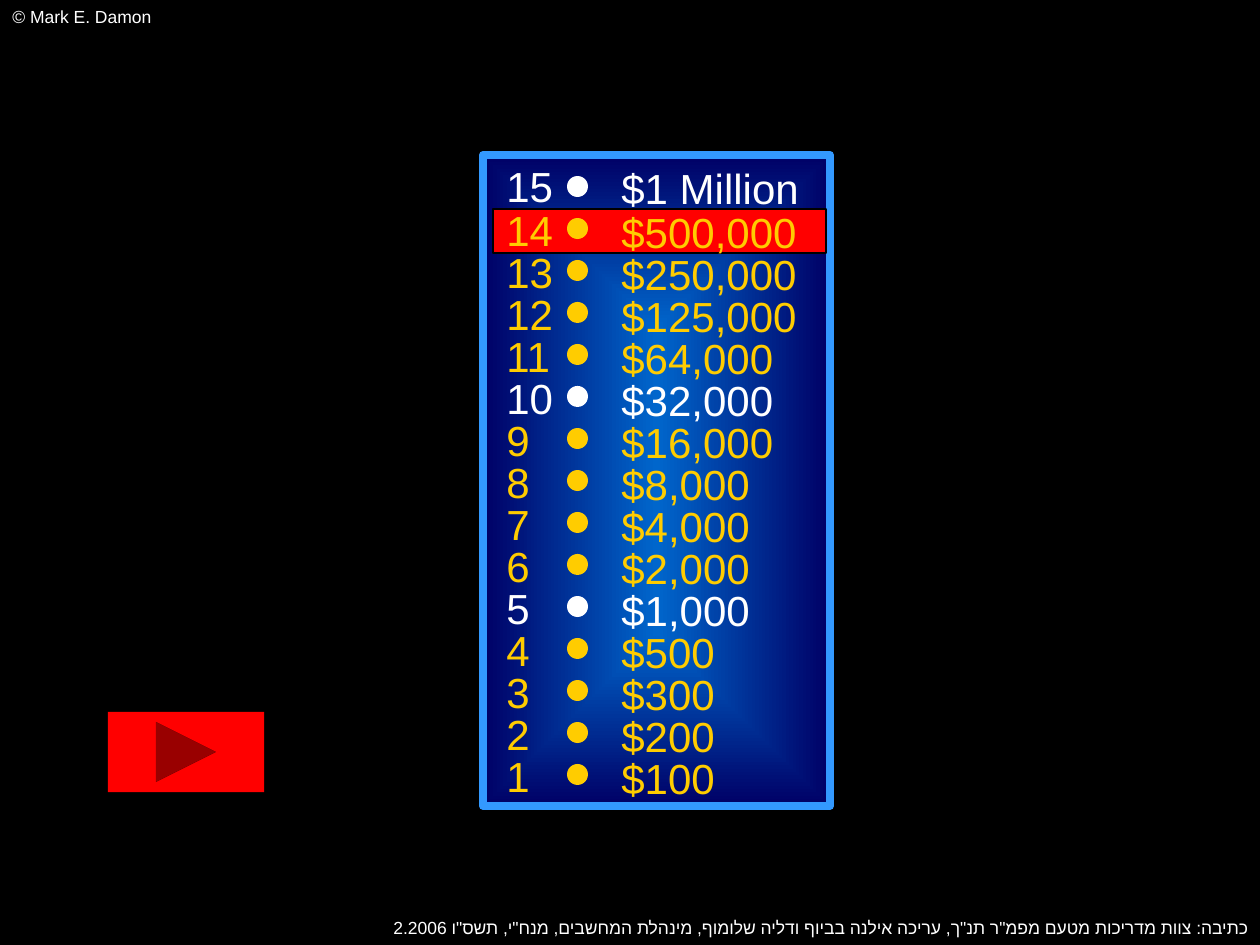
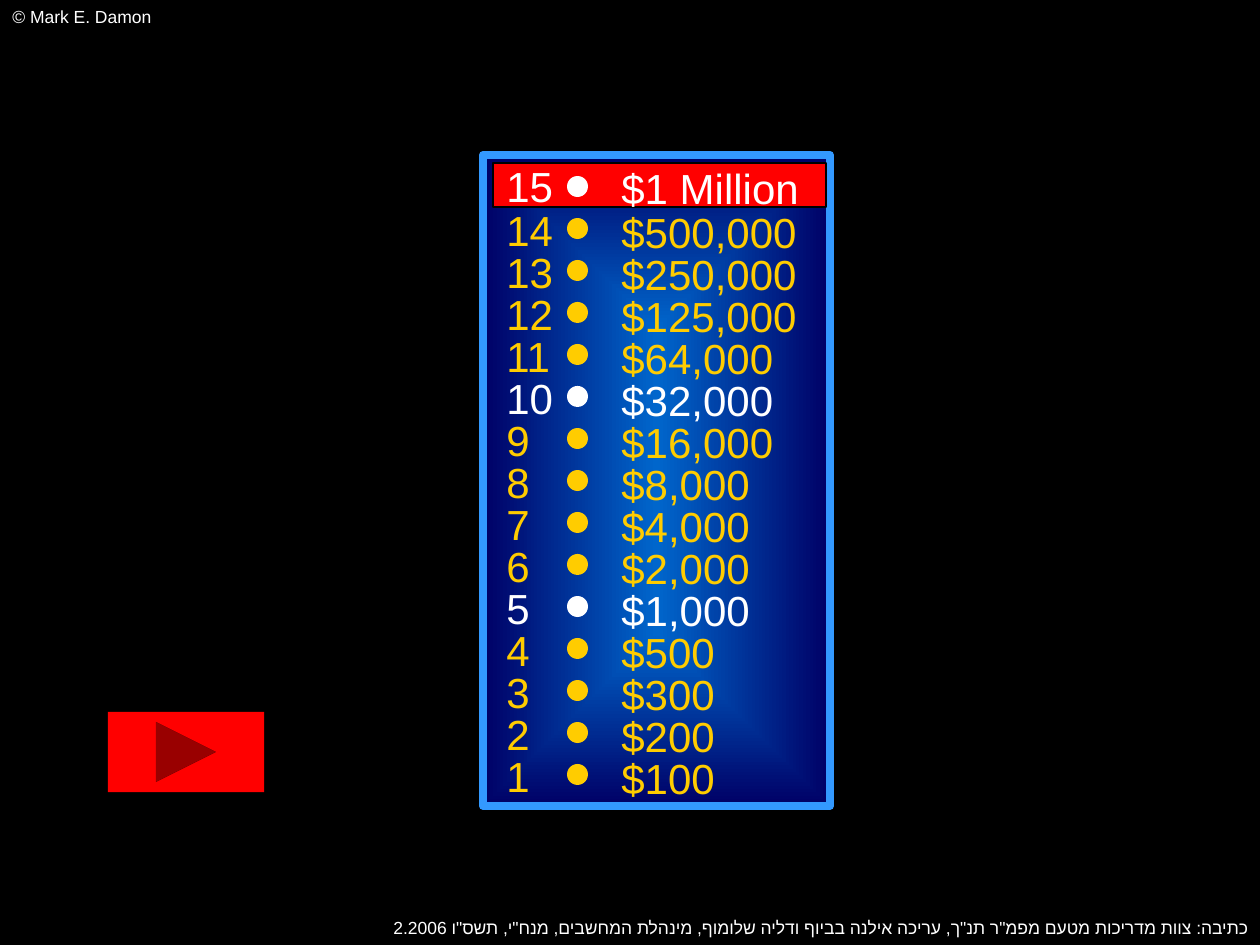
"""Build two money-ladder slides, each with its own level marked."""
from dataclasses import dataclass

from lxml import etree
from pptx import Presentation
from pptx.dml.color import RGBColor
from pptx.enum.shapes import MSO_SHAPE
from pptx.enum.text import MSO_AUTO_SIZE, PP_ALIGN
from pptx.oxml import parse_xml
from pptx.oxml.ns import nsdecls, qn
from pptx.util import Emu, Pt

RECT = MSO_SHAPE.RECTANGLE
OVAL = MSO_SHAPE.OVAL
NEXT = MSO_SHAPE.ACTION_BUTTON_FORWARD_OR_NEXT
LEFT, RIGHT = PP_ALIGN.LEFT, PP_ALIGN.RIGHT
GROW = MSO_AUTO_SIZE.SHAPE_TO_FIT_TEXT

SCALE = 914400 / 126
STEP = 42
COLORS = {
    "black": "000000",
    "white": "FFFFFF",
    "gold": "FFCC00",
    "red": "FF0000",
    "glow": "0066CC",
    "navy": "000066",
    "frame": "3399FF",
}
CREDIT = "© Mark E. Damon"
AUTHORS = ('כתיבה: צוות מדריכות מטעם מפמ"ר תנ"ך, עריכה אילנה בביוף ודליה שלומוף, '
           'מינהלת המחשבים, מנח"י, תשס"ו 2.2006')


@dataclass(frozen=True)
class Box:
    x: int
    y: int
    w: int
    h: int

    def emu(self) -> list[Emu]:
        return [Emu(round(n * SCALE)) for n in (self.x, self.y, self.w, self.h)]


@dataclass(frozen=True)
class Prize:
    level: int
    label: str
    width: int = 220

    @property
    def color(self) -> str:
        return "white" if self.level % 5 == 0 else "gold"


PRIZES = [
    Prize(15, "$1 Million"),
    Prize(14, "$500,000"),
    Prize(13, "$250,000"),
    Prize(12, "$125,000"),
    Prize(11, "$64,000"),
    Prize(10, "$32,000"),
    Prize(9, "$16,000"),
    Prize(8, "$8,000"),
    Prize(7, "$4,000"),
    Prize(6, "$2,000"),
    Prize(5, "$1,000"),
    Prize(4, "$500", 137),
    Prize(3, "$300"),
    Prize(2, "$200", 184),
    Prize(1, "$100"),
]
MARKS = [Box(493, 209, 333, 44), Box(493, 163, 333, 44)]


def paint(name: str) -> RGBColor:
    return RGBColor.from_string(COLORS[name])


def add_form(slide, kind, box: Box, fill: str, line: str = "", width: float = 0.75):
    form = slide.shapes.add_shape(kind, *box.emu())
    form.shadow.inherit = False
    form.fill.solid()
    form.fill.fore_color.rgb = paint(fill)
    if line:
        form.line.color.rgb = paint(line)
        form.line.width = Pt(width)
    else:
        form.line.fill.background()
    return form


def add_text(slide, text: str, box: Box, *, size: int = 24, color: str = "white",
             font: str = "Arial", align=LEFT, rtl: bool = False) -> None:
    frame = slide.shapes.add_textbox(*box.emu()).text_frame
    frame.word_wrap = True
    frame.auto_size = GROW
    para = frame.paragraphs[0]
    para.alignment = align
    run = para.add_run()
    run.text = text
    run.font.size = Pt(size)
    run.font.name = font
    run.font.color.rgb = paint(color)
    if rtl:
        para._p.get_or_add_pPr().set("rtl", "1")
        props = run._r.get_or_add_rPr()
        props.set("lang", "he-IL")
        etree.SubElement(props, qn("a:cs")).set("typeface", "Arial")


def add_frame(slide) -> None:
    add_form(slide, RECT, Box(0, 0, 1260, 945), "black", "black")
    add_text(slide, CREDIT, Box(0, 0, 646, 34), size=10)
    add_text(slide, AUTHORS, Box(185, 911, 1075, 34), size=10,
             font="Times New Roman", align=RIGHT, rtl=True)


def add_panel(slide) -> None:
    panel = add_form(slide, RECT, Box(483, 155, 347, 651), "navy", "frame", 4.5)
    panel.fill.gradient()
    for stop, place, name in zip(panel.fill.gradient_stops, (0, 1), ("glow", "navy")):
        stop.position = place
        stop.color.rgb = paint(name)
    grad = panel.element.spPr.find(qn("a:gradFill"))
    grad.replace(grad.find(qn("a:lin")), parse_xml(
        f'<a:path {nsdecls("a")} path="shape">'
        '<a:fillToRect l="50000" t="50000" r="50000" b="50000"/></a:path>'))


def add_ladder(slide) -> None:
    for row, prize in enumerate(PRIZES):
        top = 156 + row * STEP - (2 if row == 0 else 0)
        add_text(slide, str(prize.level), Box(494, top, 95, 63), color=prize.color)
        add_text(slide, prize.label, Box(609, top + 2, prize.width, 63), color=prize.color)
        add_form(slide, OVAL, Box(567, 176 + row * STEP, 21, 21), prize.color)


def main() -> None:
    deck = Presentation()
    deck.slide_width, deck.slide_height = Box(0, 0, 1260, 945).emu()[2:]
    for mark in MARKS:
        slide = deck.slides.add_slide(deck.slide_layouts[6])
        add_frame(slide)
        add_panel(slide)
        add_form(slide, RECT, mark, "red", "black")
        add_ladder(slide)
        add_form(slide, NEXT, Box(108, 712, 156, 80), "red")
    deck.save("out.pptx")


if __name__ == "__main__":
    main()
